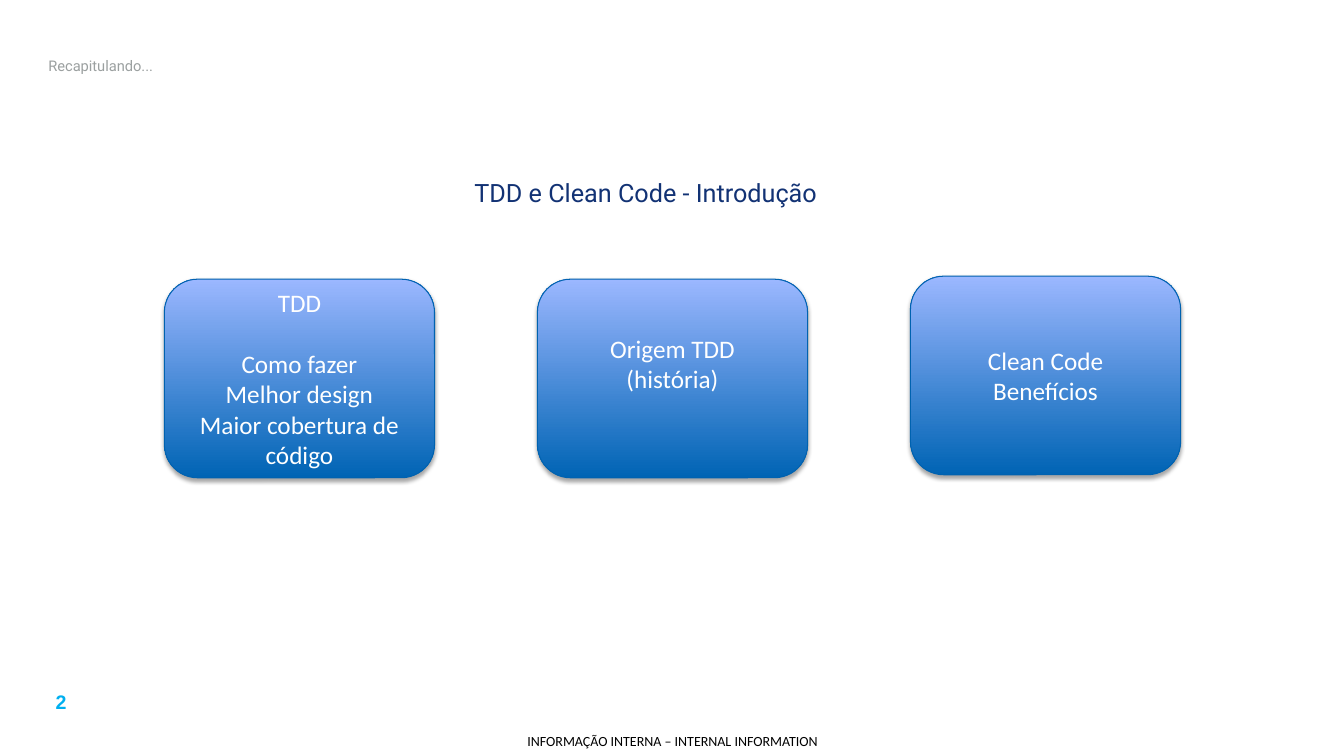
"""Build the recap slide on TDD and Clean Code."""
from dataclasses import dataclass

from lxml.etree import SubElement
from pptx import Presentation
from pptx.dml.color import RGBColor
from pptx.enum.shapes import MSO_SHAPE
from pptx.enum.text import MSO_ANCHOR, MSO_AUTO_SIZE, PP_ALIGN
from pptx.oxml import parse_xml
from pptx.oxml.ns import nsdecls, qn
from pptx.util import Inches, Pt


@dataclass(frozen=True)
class Theme:
    """Colours, fonts and type sizes of the slide."""
    heading_font: str = "Roboto"
    card_font: str = "Calibri"
    number_font: str = "Arial"
    title_size: float = 10.5
    main_size: float = 18
    number_size: float = 14
    notice_size: float = 10
    title: str = "9BA0A0"
    subtitle: str = "123274"
    number: str = "00B0F0"
    notice: str = "000000"
    card_text: str = "FFFFFF"
    card_line: str = "0062B0"
    card_bottom: str = "0064B4"
    card_top: str = "9BB7FF"
    shadow: str = "000000"


THEME = Theme()
CARD_WIDTH, CARD_HEIGHT, CARD_STEP = 2.68, 1.97, 3.7
BLANK_LINE = 22
CARDS = [
    {"lines": ["TDD", "Como fazer", "Melhor design", "Maior cobertura de código"],
     "gap_before": 1},
    {"lines": ["Origem TDD", "(história)"], "bottom_inset": 0.35},
    {"lines": ["Clean Code", "Benefícios"], "rise": 0.03},
]


def set_all(target, values):
    """Set each named attribute of the target."""
    for name, value in values.items():
        setattr(target, name, value)


def place(shape, box):
    """Move a shape to a box of left, top, width and height in inches."""
    names = ("left", "top", "width", "height")
    set_all(shape, {name: Inches(value) for name, value in zip(names, box)})


def write(shape, lines, font, size, color, align=PP_ALIGN.CENTER, bold=False,
          anchor=MSO_ANCHOR.MIDDLE):
    """Fill a shape with one formatted paragraph for each line."""
    frame = shape.text_frame
    set_all(frame, {"word_wrap": True, "auto_size": MSO_AUTO_SIZE.NONE,
                    "vertical_anchor": anchor})
    for index, line in enumerate(lines):
        para = frame.paragraphs[0] if index == 0 else frame.add_paragraph()
        para.alignment = align
        span = para.add_run()
        span.text = line
        set_all(span.font, {"name": font, "size": Pt(size), "bold": bold})
        span.font.color.rgb = RGBColor.from_string(color)
    return frame


def add_headings(page, title_box, subtitle_box):
    """Fill the title and body placeholders."""
    title, subtitle = page.shapes.title, page.placeholders[1]
    place(title, title_box)
    write(title, ["Recapitulando..."], THEME.heading_font, THEME.title_size,
          THEME.title, PP_ALIGN.LEFT)
    place(subtitle, subtitle_box)
    frame = write(subtitle, ["TDD e Clean Code - Introdução"], THEME.heading_font,
                  THEME.main_size, THEME.subtitle)
    properties = frame.paragraphs[0]._p.get_or_add_pPr()
    set_bullet = {"marL": "0", "indent": "0"}
    for name, value in set_bullet.items():
        properties.set(name, value)
    SubElement(properties, qn("a:buNone"))


def add_card(page, box, lines, gap_before=None, bottom_inset=0.05):
    """Draw one rounded gradient card with its lines of text."""
    card = page.shapes.add_shape(MSO_SHAPE.ROUNDED_RECTANGLE,
                                 *(Inches(value) for value in box))
    card.fill.gradient()
    card.fill.gradient_angle = 90
    for stop, color in zip(card.fill.gradient_stops,
                           (THEME.card_bottom, THEME.card_top)):
        stop.color.rgb = RGBColor.from_string(color)
    card.line.color.rgb = RGBColor.from_string(THEME.card_line)
    card.line.width = Pt(0.75)
    card._element.spPr.append(parse_xml(
        f'<a:effectLst {nsdecls("a")}><a:outerShdw blurRad="{Pt(3.1)}" '
        f'dist="{Pt(1.8)}" dir="5400000" rotWithShape="0">'
        f'<a:srgbClr val="{THEME.shadow}"><a:alpha val="35000"/></a:srgbClr>'
        '</a:outerShdw></a:effectLst>'))
    frame = write(card, lines, THEME.card_font, THEME.main_size, THEME.card_text)
    frame.margin_bottom = Inches(bottom_inset)
    if gap_before is not None:
        frame.paragraphs[gap_before].space_before = Pt(BLANK_LINE)


def add_cards(page, left, top):
    """Lay the cards out in an evenly spaced row."""
    for index, card in enumerate(CARDS):
        content = {name: value for name, value in card.items() if name != "rise"}
        box = (left + index * CARD_STEP, top - card.get("rise", 0),
               CARD_WIDTH, CARD_HEIGHT)
        add_card(page, box, **content)


def add_footer(page, number_box, notice_box):
    """Write the page number and the confidentiality notice."""
    number = page.shapes.add_textbox(*(Inches(value) for value in number_box))
    write(number, ["2"], THEME.number_font, THEME.number_size, THEME.number,
          bold=True, anchor=MSO_ANCHOR.TOP)
    notice = page.shapes.add_textbox(*(Inches(value) for value in notice_box))
    frame = write(notice, ["INFORMAÇÃO INTERNA – INTERNAL INFORMATION"],
                  THEME.card_font, THEME.notice_size, THEME.notice)
    set_all(frame, {f"margin_{side}": 0 for side in ("left", "top", "right", "bottom")})


def main():
    """Build and save the deck."""
    deck = Presentation()
    set_all(deck, {"slide_width": Inches(13.33), "slide_height": Inches(7.5)})
    page = deck.slides.add_slide(deck.slide_layouts[1])
    add_headings(page, (0.38, 0.41, 11.88, 0.48), (0.37, 1.56, 12.07, 0.69))
    add_cards(page, 1.63, 2.77)
    add_footer(page, (0.21, 6.8, 0.79, 0.34), (5.03, 7.21, 3.28, 0.29))
    deck.save("out.pptx")


if __name__ == "__main__":
    main()
